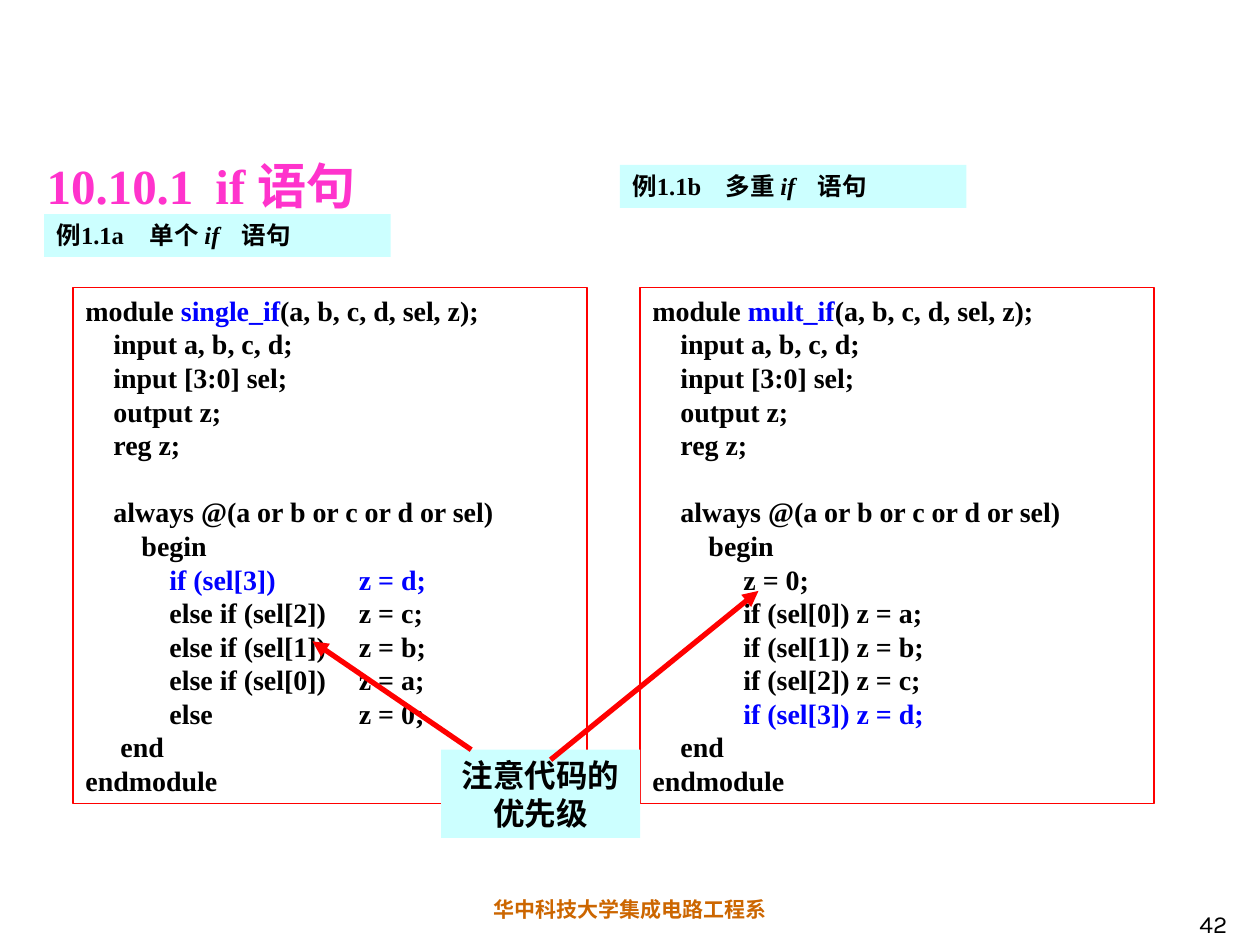
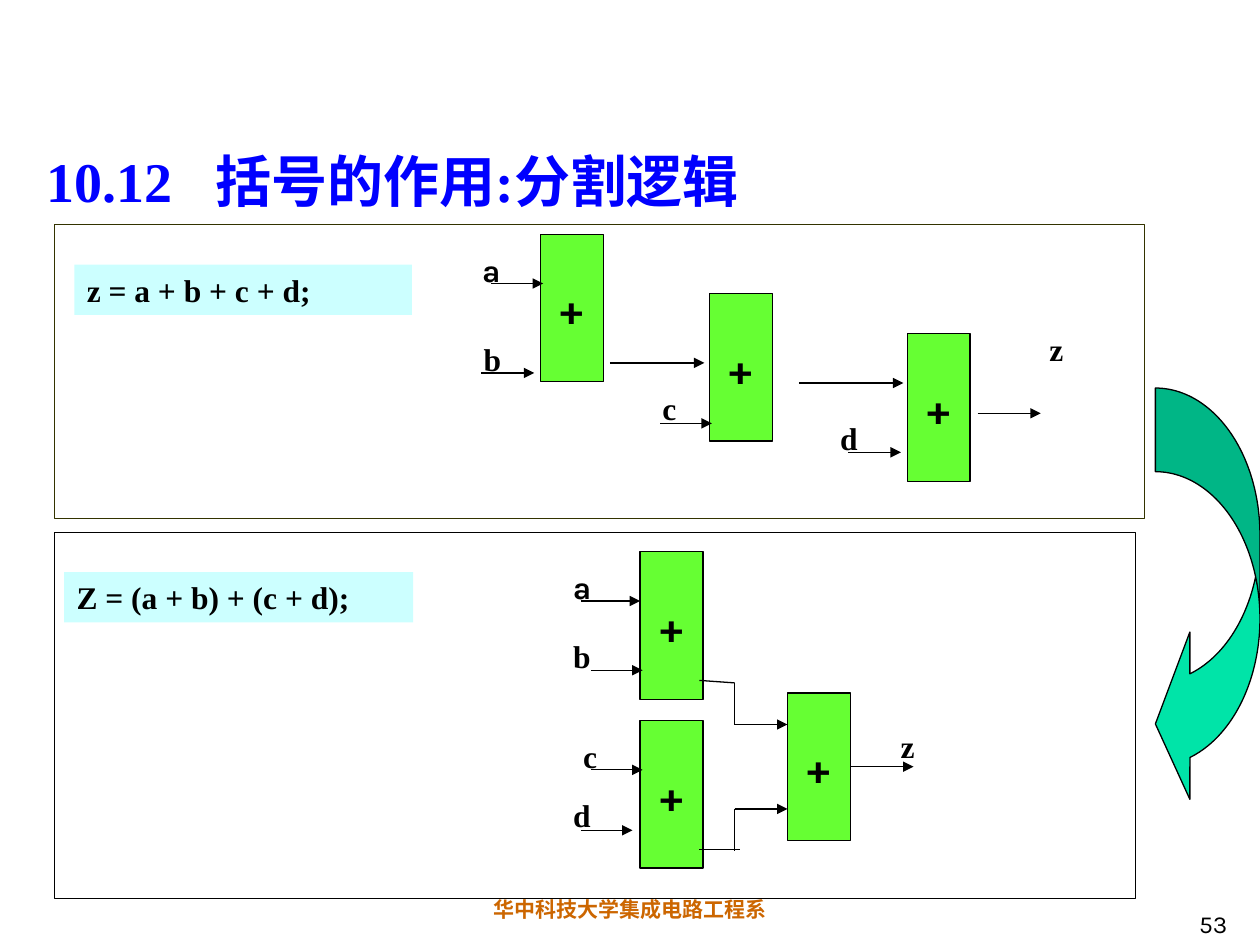
from itertools import pairwise

from lxml.etree import SubElement
from pptx import Presentation
from pptx.dml.color import RGBColor
from pptx.enum.shapes import MSO_CONNECTOR, MSO_SHAPE
from pptx.enum.text import MSO_ANCHOR, MSO_AUTO_SIZE, PP_ALIGN
from pptx.oxml.ns import qn
from pptx.util import Inches, Pt

BLACK = RGBColor(0x00, 0x00, 0x00)
BLUE = RGBColor(0x00, 0x00, 0xFF)
RED = RGBColor(0xFF, 0x00, 0x00)
PINK = RGBColor(0xFF, 0x33, 0xCC)
ORANGE = RGBColor(0xCC, 0x66, 0x00)
CYAN = RGBColor(0xCC, 0xFF, 0xFF)
GREEN = RGBColor(0x66, 0xFF, 0x33)
TEAL = RGBColor(0x00, 0xE4, 0xA8)
OLIVE = RGBColor(0x33, 0x33, 0x00)

SERIF = "Times New Roman"
SANS = "Karla"
FOOTER = "华中科技大学集成电路工程系"

CODE_SIZE = 16
CODE_LEADING = Pt(19.2)
SPACE_WIDTH = 1 / 18  # inches, one space of the code font
VALUE_COLUMN = 2.17
ADDER_WIDTH, ADDER_HEIGHT = 0.5, 1.17


class Lecture:
    """Holds the deck, its style and the page being drawn."""

    def __init__(self):
        self.deck = Presentation()
        self.deck.slide_width, self.deck.slide_height = Inches(10), Inches(7.5)
        self.page = None

    def start_page(self, title, width, size, colour, number):
        self.page = self.deck.slides.add_slide(self.deck.slide_layouts[5])
        self.text(0, 7.07, 10, 0.3, FOOTER, size=12, font=SANS, colour=ORANGE,
                  align=PP_ALIGN.CENTER)
        self.text(7.76, 7, 2.08, 0.5, number, size=14, font=SANS, bold=False,
                  align=PP_ALIGN.RIGHT, anchor=MSO_ANCHOR.BOTTOM)
        box = self.page.shapes.title
        box.left, box.top = Inches(0.27), Inches(0.99)
        box.width, box.height = Inches(width), Inches(0.76)
        self.set_frame(box, MSO_ANCHOR.BOTTOM)
        self.fill_para(box.text_frame.paragraphs[0], title, size=size,
                       colour=colour, tabs=[1.34])

    def set_frame(self, box, anchor=MSO_ANCHOR.TOP, wrap=True):
        frame = box.text_frame
        frame.auto_size = MSO_AUTO_SIZE.NONE
        frame.word_wrap = wrap
        frame.vertical_anchor = anchor
        frame.margin_left = frame.margin_right = Inches(0.1)
        frame.margin_top = frame.margin_bottom = Inches(0.05)

    def fill_para(self, para, text, size=18, font=SERIF, colour=BLACK, bold=True,
                  align=PP_ALIGN.LEFT, tabs=(), accent=None):
        """Parts between bars take the accent colour, or italics without one."""
        para.alignment = align
        if tabs:
            stops = SubElement(para._p.get_or_add_pPr(), qn("a:tabLst"))
            for stop in tabs:
                SubElement(stops, qn("a:tab"), pos=str(int(Inches(stop))), algn="l")
        para.font.size, para.font.name, para.font.bold = Pt(size), font, bold
        para.font.color.rgb = colour
        for index, part in enumerate(text.split("|")):
            if not part:
                continue
            span = para.add_run()
            span.text = part
            if index % 2 and accent is not None:
                span.font.color.rgb = accent
            elif index % 2:
                span.font.italic = True

    def text(self, left, top, width, height, words, anchor=MSO_ANCHOR.TOP, **style):
        box = self.page.shapes.add_textbox(
            Inches(left), Inches(top), Inches(width), Inches(height))
        self.set_frame(box, anchor)
        self.fill_para(box.text_frame.paragraphs[0], words, **style)

    def shape(self, left, top, width, height, fill=None, line=None, weight=0.75,
              kind=MSO_SHAPE.RECTANGLE):
        shape = self.page.shapes.add_shape(
            kind, Inches(left), Inches(top), Inches(width), Inches(height))
        shape.shadow.inherit = False
        if fill is None:
            shape.fill.background()
        else:
            shape.fill.solid()
            shape.fill.fore_color.rgb = fill
        if line is None:
            shape.line.fill.background()
        else:
            shape.line.color.rgb = line
            shape.line.width = Pt(weight)
        return shape

    def band(self, left, top, width, height, words, **style):
        box = self.shape(left, top, width, height, fill=CYAN)
        self.set_frame(box)
        self.fill_para(box.text_frame.paragraphs[0], words, **style)

    def adder(self, left, top):
        box = self.shape(left, top, ADDER_WIDTH, ADDER_HEIGHT, GREEN, BLACK)
        self.set_frame(box, MSO_ANCHOR.MIDDLE, wrap=False)
        self.fill_para(box.text_frame.paragraphs[0], "+", size=24, font=SANS,
                       align=PP_ALIGN.CENTER)
        return box

    def line(self, start, end, colour=BLACK, weight=0.75, arrow=True):
        link = self.page.shapes.add_connector(
            MSO_CONNECTOR.STRAIGHT, *map(Inches, start), *map(Inches, end))
        link.line.color.rgb = colour
        link.line.width = Pt(weight)
        if arrow:
            outline = link._element.spPr.find(qn("a:ln"))
            SubElement(outline, qn("a:tailEnd"), type="triangle")
        SubElement(link._element.spPr, qn("a:effectLst"))
        return link

    def code(self, left, lines):
        box = self.shape(left, 2.28, 4.08, 4.1, line=RED)
        self.set_frame(box)
        frame = box.text_frame
        for index, (spaces, words) in enumerate(lines):
            para = frame.add_paragraph() if index else frame.paragraphs[0]
            indent = [spaces * SPACE_WIDTH] if spaces else []
            lead = "\t" if spaces else ""
            self.fill_para(para, lead + words, size=CODE_SIZE,
                           tabs=indent + [VALUE_COLUMN], accent=BLUE)
            para.line_spacing = CODE_LEADING
            if words.startswith("always"):
                para.space_before = CODE_LEADING


def module_lines(name, body_indent, body, end_indent):
    """Returns (leading spaces, text) for each line of a module."""
    declarations = ["input a, b, c, d;", "input [3:0] sel;", "output z;", "reg z;"]
    return [
        (0, f"module |{name}|(a, b, c, d, sel, z);"),
        *[(4, words) for words in declarations],
        (4, "always @(a or b or c or d or sel)"),
        (8, "begin"),
        *[(body_indent, words) for words in body],
        (end_indent, "end"),
        (0, "endmodule"),
    ]


def draw_if_page(lecture):
    lecture.start_page("10.10.1\tif 语句", 8.66, 28, PINK, "42")
    single_if = ["|if (sel[3])\tz = d;|", "else if (sel[2])\tz = c;",
                 "else if (sel[1])\tz = b;", "else if (sel[0])\tz = a;",
                 "else\tz = 0;"]
    mult_if = ["z = 0;", "if (sel[0]) z = a;", "if (sel[1]) z = b;",
               "if (sel[2]) z = c;", "|if (sel[3]) z = d;|"]
    lecture.code(0.58, module_lines("single_if", 12, single_if, 5))
    lecture.code(5.08, module_lines("mult_if", 13, mult_if, 4))
    for left, top, words in [(0.35, 1.7, "例1.1a\t单个 |if|\t语句"),
                             (4.92, 1.31, "例1.1b\t多重 |if|\t语句")]:
        lecture.band(left, top, 2.75, 0.34, words, size=14, tabs=[0.74, 1.47])
    lecture.band(3.5, 5.95, 1.58, 0.7, "注意代码的优先级", font=SANS,
                 align=PP_ALIGN.CENTER)
    lecture.line((3.74, 5.95), (2.48, 5.09), RED, 3)
    lecture.line((4.37, 6.03), (6.02, 4.69), RED, 3)


def draw_brackets_page(lecture):
    lecture.start_page("10.12\t括号的作用:分割逻辑", 8.5, 32, BLUE, "53")
    lecture.band(0.59, 2.1, 2.68, 0.4, "z = a + b + c + d;")
    lecture.band(0.51, 4.54, 2.77, 0.4, "Z = (a + b) + (c + d);")

    for left, top in [(4.29, 1.86), (5.63, 2.33), (7.2, 2.65),
                      (5.08, 4.38), (5.08, 5.72)]:
        lecture.adder(left, top)
    last_adder = lecture.adder(6.25, 5.5)

    level_arrows = [
        (3.9, 4.31, 2.25), (3.82, 4.24, 2.96), (4.84, 5.59, 2.88),
        (5.24, 5.65, 3.36), (6.34, 7.17, 3.04), (6.73, 7.15, 3.59),
        (7.76, 8.26, 3.28), (4.61, 5.08, 4.77), (4.69, 5.1, 5.32),
        (4.69, 5.1, 6.11), (4.61, 5.02, 6.59), (5.83, 6.25, 5.75),
        (5.83, 6.25, 6.42),
    ]
    for start, end, height in level_arrows:
        lecture.line((start, height), (end, height))
    result = lecture.line((6.75, 6.08), (7.25, 6.08))
    result.begin_connect(last_adder, 3)
    result.end_y = result.begin_y

    for bend in [[(5.83, 5.75), (5.83, 5.42), (5.55, 5.4)],
                 [(5.83, 6.42), (5.83, 6.75)],
                 [(5.87, 6.74), (5.55, 6.74)]]:
        for start, end in pairwise(bend):
            lecture.line(start, end, arrow=False)

    for name, left, top in [("b", 3.74, 2.65), ("c", 5.16, 3.04),
                            ("z", 8.23, 2.57), ("d", 6.57, 3.28),
                            ("b", 4.45, 5.01), ("c", 4.53, 5.8),
                            ("d", 4.45, 6.27), ("z", 7.05, 5.72)]:
        lecture.text(left, top, 0.4, 0.4, name)
    for left, top in [(3.65, 1.94), (4.37, 4.46)]:
        lecture.text(left, top, 0.5, 0.4, "a", font=SANS, align=PP_ALIGN.CENTER)

    lecture.shape(0.43, 1.78, 8.65, 2.33, line=OLIVE, weight=0.25)
    lecture.shape(0.43, 4.22, 8.58, 2.91, line=BLACK, weight=0.25)
    turn = lecture.shape(9.17, 3.08, 0.83, 3.33, TEAL, BLACK,
                         kind=MSO_SHAPE.CURVED_LEFT_ARROW)
    for index, share in enumerate([0.8, 1.6, 0.33]):
        turn.adjustments[index] = share


def main():
    lecture = Lecture()
    draw_if_page(lecture)
    draw_brackets_page(lecture)
    lecture.deck.save("out.pptx")


if __name__ == "__main__":
    main()
